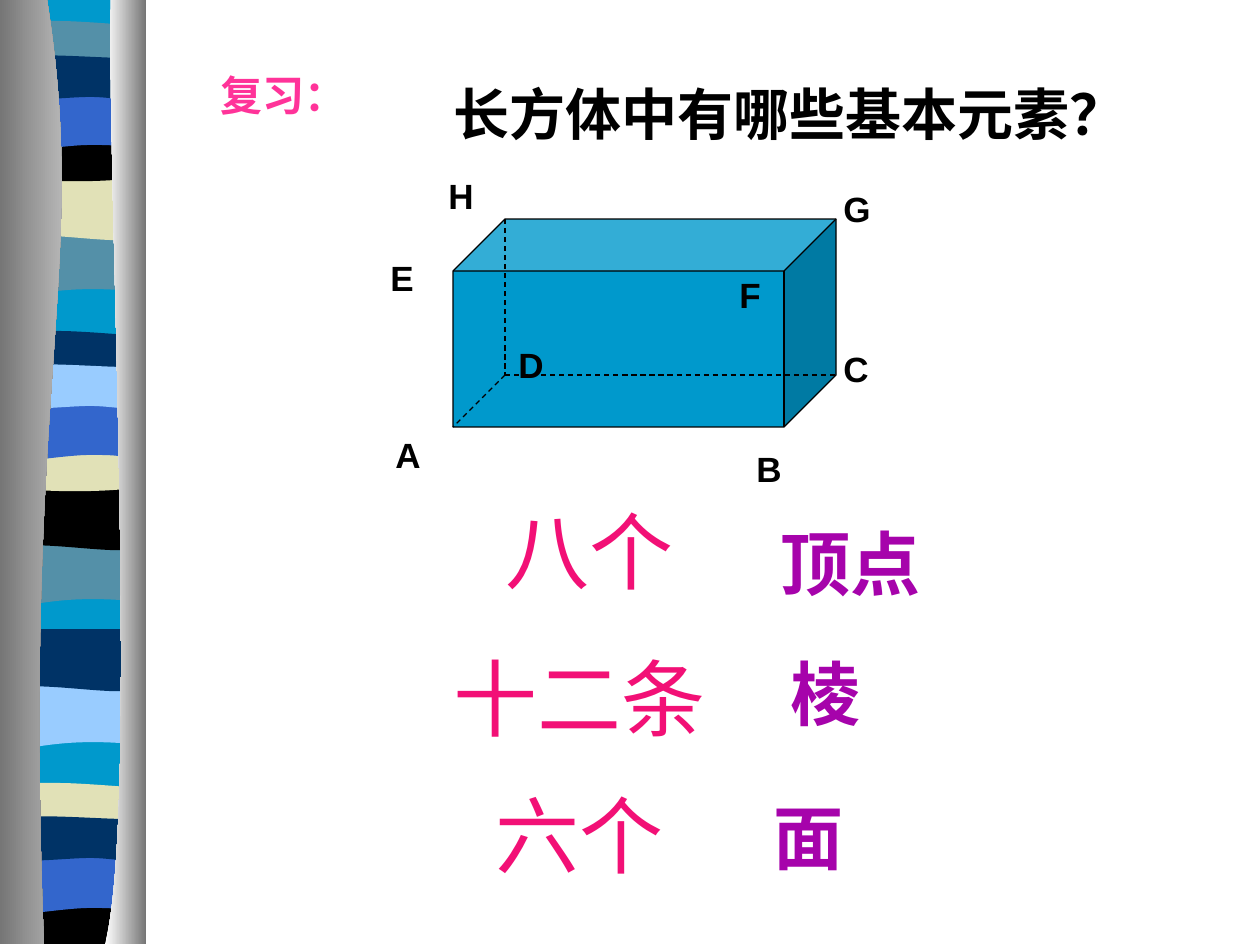
import pptx
import pptx.dml.color
import pptx.enum.dml
import pptx.enum.shapes
import pptx.enum.text
import pptx.oxml
import pptx.oxml.ns
import pptx.util

RGB = pptx.dml.color.RGBColor
BLACK = RGB(0x00, 0x00, 0x00)
WHITE = RGB(0xFF, 0xFF, 0xFF)
GREY = RGB(0x76, 0x76, 0x76)
LIGHT_GREY = RGB(0xD3, 0xD3, 0xD3)
CYAN = RGB(0x00, 0x99, 0xCC)
TEAL = RGB(0x54, 0x90, 0xA8)
KHAKI = RGB(0xE1, 0xE1, 0xB7)
BLUE = RGB(0x33, 0x66, 0xCC)
NAVY = RGB(0x00, 0x33, 0x66)
SKY = RGB(0x99, 0xCC, 0xFF)
PINK = RGB(0xFF, 0x33, 0x99)
MAGENTA = RGB(0xF2, 0x10, 0x76)
PURPLE = RGB(0xA6, 0x03, 0xAB)

CJK = "Noto Sans CJK SC"
SERIF = "Times New Roman"
PX = 914400 / 126
RIBBON_LEFT = 7

# Stripe edges, left to right: a start point, then three points per Bezier curve;
# two points alone make a straight edge
FLAT = [(0, 0), (136, 0)]
PROFILES = {  # name: (top edge, bottom edge)
    "flat": (FLAT, FLAT),
    "wave": (FLAT, [(0, 0), (23, 10), (42, -10), (136, 0)]),
    "slope": (FLAT, [(0, 0), (42, -7), (113, 10), (136, 0)]),
    "lens": ([(0, 0), (8, -6), (29, -5), (52, -5), (74, -5), (118, -1), (136, 0)],
             [(0, 0), (23, 5), (113, 5), (136, 0)]),
    "dip": ([(0, 0), (83, 6), (107, 0), (136, 0)],
            [(0, 0), (23, 7), (113, 7), (136, 0)]),
    "base": ([(0, 0), (83, 6), (107, 0), (136, 0)], FLAT),
    "arch": (FLAT, [(0, 0), (20, 0), (60, -7), (83, -7), (106, -7), (115, -7), (136, 0)]),
    "swell": ([(0, 0), (19, -6), (92, 0), (115, 0), (137, 0), (131, 0), (136, 0)],
              [(0, 0), (14, 6), (60, 0), (83, 0), (106, 0), (127, 6), (136, 0)]),
}
STRIPES = [  # top, bottom, profile, colour
    (-1, 941, "flat", CYAN),
    (233, 292, "wave", TEAL), (178, 237, "slope", KHAKI), (26, 57, "lens", TEAL),
    (136, 176, "dip", BLACK), (93, 152, "arch", BLUE), (58, 97, "swell", NAVY),
    (543, 602, "wave", TEAL), (486, 547, "slope", BLACK), (336, 367, "lens", NAVY),
    (445, 486, "dip", KHAKI), (403, 462, "arch", BLUE), (367, 406, "swell", SKY),
    (685, 745, "wave", SKY), (629, 688, "slope", NAVY), (788, 818, "lens", KHAKI),
    (897, 944, "base", BLACK), (856, 915, "arch", BLUE), (819, 858, "swell", NAVY),
]
VERTICES = [  # letter, left, top
    ("A", 383, 427), ("C", 831, 341), ("B", 744, 441), ("D", 506, 337),
    ("F", 727, 267), ("E", 378, 250), ("H", 436, 168), ("G", 831, 181),
]
ELEMENTS = [  # name, left, top, width, height
    ("顶点", 756, 514, 189, 101), ("棱", 756, 644, 140, 112), ("面", 756, 788, 105, 95),
]
COUNTS = [
    ("八个", 493, 493, 315, 113), ("十二条", 441, 640, 368, 113), ("六个", 483, 777, 221, 113),
]


def px(length):
    return pptx.util.Emu(round(length * PX))


def segments(edge):
    """Split an edge into one line or a chain of Bezier curves."""
    size = 1 if len(edge) == 2 else 3
    return [edge[i:i + size] for i in range(1, len(edge), size)]


def add_outline(slide, start, parts, *colours):
    """Closed outline with one solid colour, or a left-to-right blend of two."""
    builder = slide.shapes.build_freeform(*map(px, start))
    builder.add_line_segments([(px(x), px(y)) for part in parts for x, y in part], close=True)
    outline = builder.convert_to_shape()

    # Join each three points of a curved part into one Bezier curve
    nodes = iter(list(outline._element.iter(pptx.oxml.ns.qn("a:lnTo"))))
    for part in parts:
        first, *rest = [next(nodes) for _ in part]
        if rest:
            first.tag = pptx.oxml.ns.qn("a:cubicBezTo")
            for node in rest:
                first.append(node[0])
                node.getparent().remove(node)

    outline.shadow.inherit = False
    outline.line.fill.background()
    if len(colours) == 1:
        outline.fill.solid()
        outline.fill.fore_color.rgb = colours[0]
    else:
        outline.fill.gradient()
        outline.fill.gradient_angle = 0
        for stop, colour in zip(outline.fill.gradient_stops, colours):
            stop.color.rgb = colour


def add_stripe(slide, top, bottom, profile, colour):
    upper, lower = [[(RIBBON_LEFT + x, level + y) for x, y in edge]
                    for level, edge in zip((top, bottom), PROFILES[profile])]
    parts = segments(upper) + [[lower[-1]]] + segments(lower[::-1])
    add_outline(slide, upper[0], parts, colour)


def add_curtain(slide, fold, side, *colours):
    parts = segments(fold) + [[(side, 944)], [(side, -1)]]
    add_outline(slide, fold[0], parts, *colours)


def add_text(slide, text, left, top, width, height, size, colour,
             font=SERIF, bold=False, wrap=True):
    box = slide.shapes.add_textbox(px(left), px(top), px(width), px(height))
    frame = box.text_frame
    frame.word_wrap = wrap
    paragraph = frame.paragraphs[0]
    if wrap:
        frame.auto_size = pptx.enum.text.MSO_AUTO_SIZE.SHAPE_TO_FIT_TEXT
    else:
        paragraph.alignment = pptx.enum.text.PP_ALIGN.CENTER
    run = paragraph.add_run()
    run.text = text
    run.font.size = pptx.util.Pt(size)
    run.font.name = font
    run.font.bold = bold
    run.font.color.rgb = colour
    run.font._element.append(pptx.oxml.parse_xml(
        '<a:ea xmlns:a="http://schemas.openxmlformats.org/drawingml/2006/main"'
        f' typeface="{CJK}"/>'))


def add_hidden_edge(slide, start, end):
    edge = slide.shapes.add_connector(
        pptx.enum.shapes.MSO_CONNECTOR.STRAIGHT, *map(px, start + end))
    edge.line.color.rgb = BLACK
    edge.line.width = pptx.util.Pt(0.75)
    edge.line.dash_style = pptx.enum.dml.MSO_LINE.DASH
    edge._element.spPr.append(pptx.oxml.parse_xml(
        '<a:effectLst xmlns:a="http://schemas.openxmlformats.org/drawingml/2006/main"/>'))


def add_cuboid(slide):
    left, top, width, height = 453, 219, 383, 208
    cuboid = slide.shapes.add_shape(pptx.enum.shapes.MSO_SHAPE.CUBE,
                                    px(left), px(top), px(width), px(height))
    cuboid.shadow.inherit = False
    cuboid.adjustments[0] = 0.25
    cuboid.fill.solid()
    cuboid.fill.fore_color.rgb = CYAN
    cuboid.line.color.rgb = BLACK
    cuboid.line.width = pptx.util.Pt(0.75)

    # The three edges that meet at the hidden corner D
    depth = height // 4
    corner = (left + depth, top + height - depth)
    add_hidden_edge(slide, (corner[0], top), corner)
    add_hidden_edge(slide, corner, (left + width, corner[1]))
    add_hidden_edge(slide, corner, (left, top + height))


def main():
    deck = pptx.Presentation()
    deck.slide_width, deck.slide_height = px(1260), px(945)
    slide = deck.slides.add_slide(deck.slide_layouts[6])

    # Striped ribbon between two shaded curtains
    for stripe in STRIPES:
        add_stripe(slide, *stripe)
    add_curtain(slide, [(47, -1), (90, 272), (22, 373), (44, 944)], 0, GREY, LIGHT_GREY)
    add_curtain(slide, [(111, -1), (106, 158), (140, 814), (105, 944)], 146, WHITE, GREY)

    # Cuboid with its vertex letters
    add_cuboid(slide)
    for letter, left, top in VERTICES:
        add_text(slide, letter, left, top, 92, 55, size=20, colour=BLACK,
                 font="Arial", bold=True)

    # Heading and question
    add_text(slide, "复习：", 179, 63, 210, 116, size=24, colour=PINK,
             font=CJK, bold=True, wrap=False)
    add_text(slide, "长方体中有哪些基本元素？", 441, 73, 756, 81, size=32,
             colour=BLACK, bold=True)

    # Answers: the elements and how many of each
    for element in ELEMENTS:
        add_text(slide, *element, size=40, colour=PURPLE, font=CJK, bold=True, wrap=False)
    for count in COUNTS:
        add_text(slide, *count, size=48, colour=MAGENTA)

    deck.save("out.pptx")


if __name__ == "__main__":
    main()
